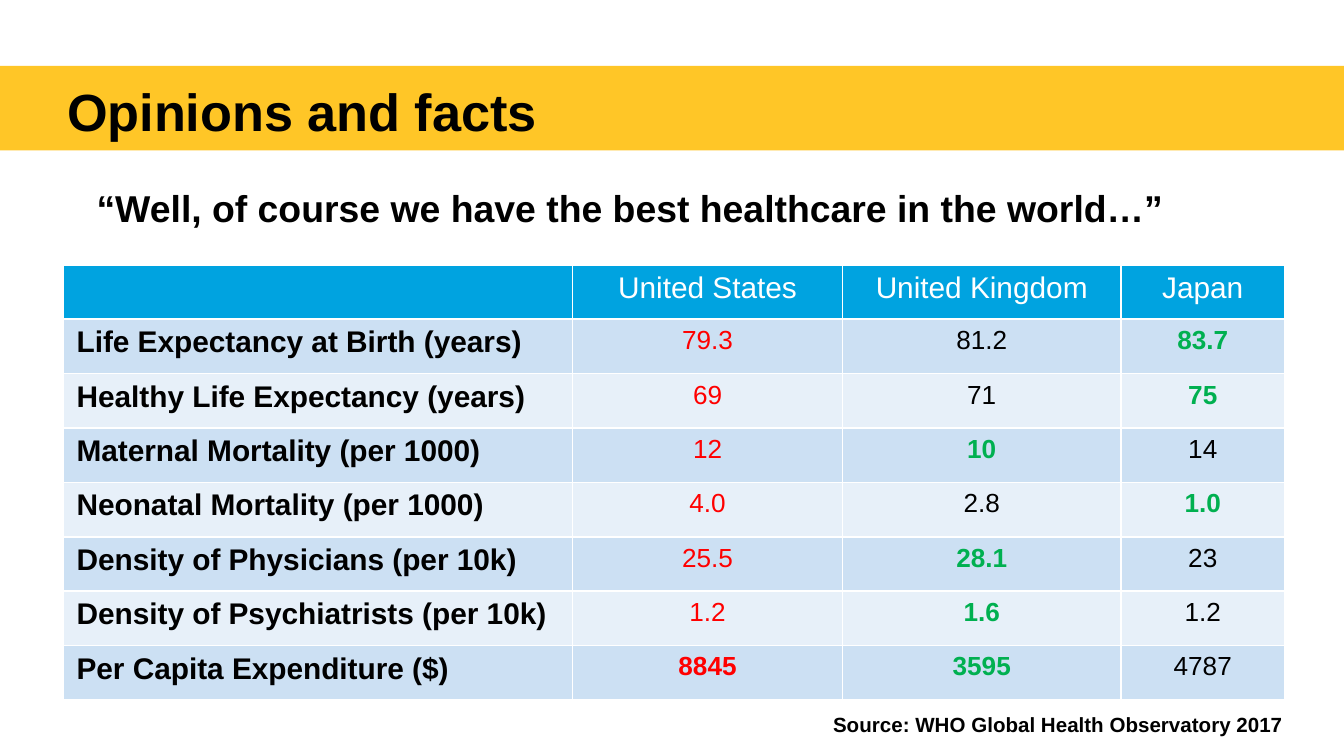
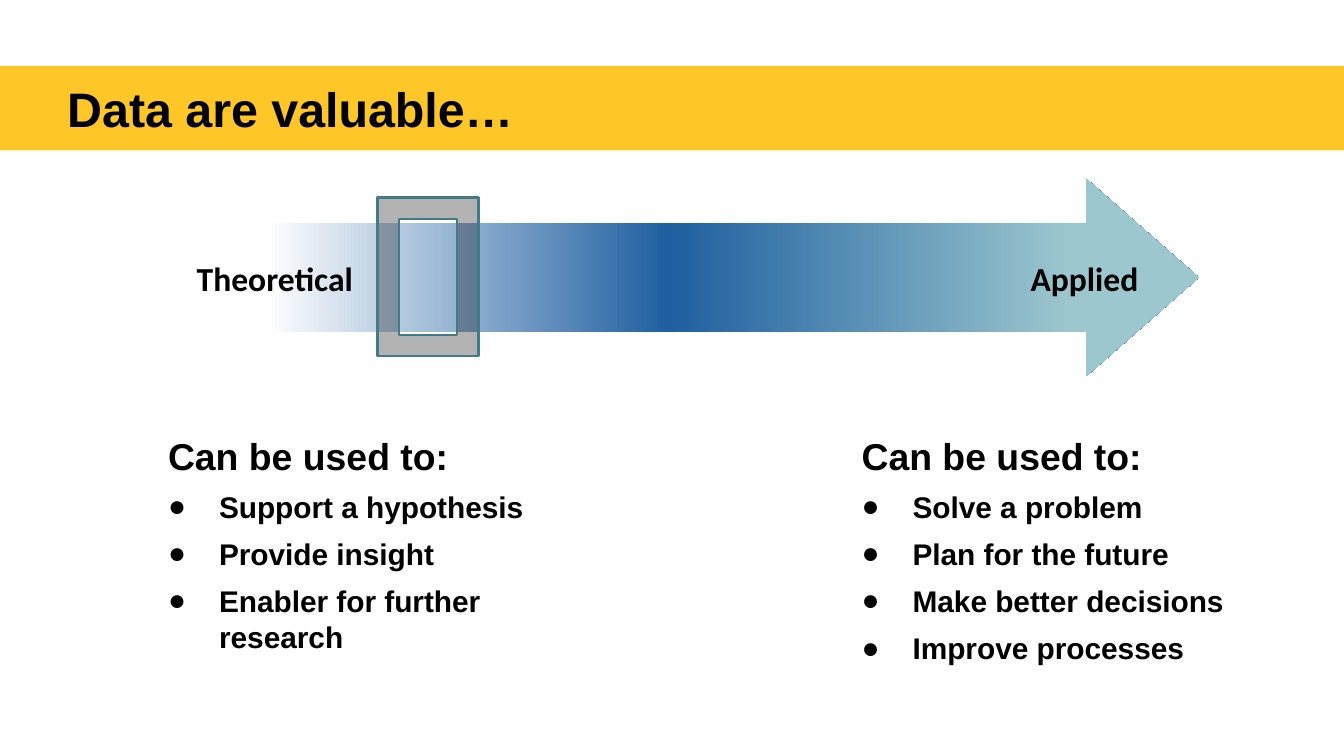
from copy import deepcopy
from lxml import etree
from pptx import Presentation
from pptx import util as u
from pptx.dml.color import RGBColor
from pptx.enum import shapes, text
from pptx.oxml.ns import qn

COLORS = {
    "gold": "FFC627", "black": "000000", "white": "FFFFFF", "header": "00A3E0",
    "odd_row": "CCE0F3", "even_row": "E7F0F9", "red": "FF0000", "green": "00B050",
    "blue": "1F5FA0", "teal": "9CC7CE", "frame": "040408", "frame_line": "417B85",
}
COLORS = {name: RGBColor.from_string(value) for name, value in COLORS.items()}


def write(frame, content, size=16, color="black", bold=True, font="Arial",
          align=text.PP_ALIGN.LEFT, before=0, left=0, hanging=0, bullet=None):
    paragraph = frame.paragraphs[0]
    if paragraph.runs:
        paragraph = frame.add_paragraph()
    properties = paragraph._p.get_or_add_pPr()
    properties.set("marL", str(u.Inches(left)))
    properties.set("indent", str(u.Inches(-hanging)))
    if bullet:
        bullet_color = etree.SubElement(properties, qn("a:buClr"))
        etree.SubElement(bullet_color, qn("a:srgbClr")).set("val", str(COLORS[color]))
        etree.SubElement(properties, qn("a:buChar")).set("char", bullet)
    else:
        etree.SubElement(properties, qn("a:buNone"))
    paragraph.alignment = align
    paragraph.space_before = u.Pt(before)
    run = paragraph.add_run()
    run.text = content
    run.font.size = u.Pt(size)
    run.font.name = font
    run.font.bold = bold
    run.font.color.rgb = COLORS[color]


def add_titled_slide(layout_index, title, size):
    slide = presentation.slides.add_slide(presentation.slide_layouts[layout_index])
    band = slide.shapes.title
    band.left, band.top, band.width, band.height = map(u.Inches, (0, 0.49, 10, 0.63))
    band.fill.solid()
    band.fill.fore_color.rgb = COLORS["gold"]
    frame = band.text_frame
    frame.auto_size = text.MSO_AUTO_SIZE.NONE
    frame.vertical_anchor = text.MSO_ANCHOR.TOP
    frame.margin_left = u.Inches(0.5)
    frame.margin_top = frame.margin_right = frame.margin_bottom = u.Inches(0.1)
    write(frame, title, size=size)
    return slide


presentation = Presentation()
presentation.slide_width = u.Inches(10)
presentation.slide_height = u.Inches(10 * 9 / 16)

slide = add_titled_slide(5, "Opinions and facts", 28)

quote = slide.shapes.add_textbox(*map(u.Inches, (0.62, 1.33, 8.95, 0.4))).text_frame
quote.word_wrap = True
write(quote, "“Well, of course we have the best healthcare in the world…”", size=20)

BEST_COLUMN = {1: 3, 2: 3, 3: 2, 4: 3, 5: 2, 6: 2, 7: 2}
HEALTH_ROWS = [
    ("", "United States", "United Kingdom", "Japan"),
    ("Life Expectancy at Birth (years)", "79.3", "81.2", "83.7"),
    ("Healthy Life Expectancy (years)", "69", "71", "75"),
    ("Maternal Mortality (per 1000)", "12", "10", "14"),
    ("Neonatal Mortality (per 1000)", "4.0", "2.8", "1.0"),
    ("Density of Physicians (per 10k)", "25.5", "28.1", "23"),
    ("Density of Psychiatrists (per 10k)", "1.2", "1.6", "1.2"),
    ("Per Capita Expenditure ($)", "8845", "3595", "4787"),
]
COLUMN_WIDTHS = (3.79, 2.01, 2.07, 1.22)

table = slide.shapes.add_table(
    len(HEALTH_ROWS), len(COLUMN_WIDTHS),
    *map(u.Inches, (0.47, 1.97, sum(COLUMN_WIDTHS), 3.24))).table
table.first_row = False
table.horz_banding = False
for column, width in zip(table.columns, COLUMN_WIDTHS):
    column.width = u.Inches(width)

for row_index, values in enumerate(HEALTH_ROWS):
    row_fill = "header" if row_index == 0 else ("even_row", "odd_row")[row_index % 2]
    for column_index, value in enumerate(values):
        cell = table.cell(row_index, column_index)
        properties = cell._tc.get_or_add_tcPr()
        for side in "LRTB":
            border = etree.SubElement(properties, qn(f"a:ln{side}"))
            border.set("w", str(u.Pt(1)))
            border_fill = etree.SubElement(border, qn("a:solidFill"))
            etree.SubElement(border_fill, qn("a:srgbClr")).set("val", str(COLORS["white"]))
        cell.fill.solid()
        cell.fill.fore_color.rgb = COLORS[row_fill]
        if not value:
            continue
        if row_index == 0:
            style = dict(color="white", bold=False)
        elif column_index == 0:
            style = dict()
        elif column_index == 1:
            style = dict(size=14, color="red", bold=row_index == len(HEALTH_ROWS) - 1)
        else:
            best = BEST_COLUMN[row_index] == column_index
            style = dict(size=14, color="green" if best else "black", bold=best)
        if column_index:
            style["align"] = text.PP_ALIGN.CENTER
        write(cell.text_frame, value, **style)

source = slide.shapes.add_textbox(*map(u.Inches, (6.1, 5.25, 3.78, 0.29))).text_frame
source.word_wrap = True
write(source, "Source: WHO Global Health Observatory 2017", size=11)

slide = add_titled_slide(3, "Data are valuable…", 25.9)

USES = [
    (1, (1.03, 3.12, 3.59, 1.87),
     ("Support a hypothesis", "Provide insight", "Enabler for further research")),
    (2, (6.19, 3.12, 3.39, 2.22),
     ("Solve a problem", "Plan for the future", "Make better decisions", "Improve processes")),
]
for placeholder_index, box, items in USES:
    body = slide.placeholders[placeholder_index]
    body.left, body.top, body.width, body.height = map(u.Inches, box)
    frame = body.text_frame
    frame.auto_size = text.MSO_AUTO_SIZE.NONE
    frame.vertical_anchor = text.MSO_ANCHOR.TOP
    frame.margin_left = frame.margin_right = u.Inches(0.1)
    frame.margin_top = frame.margin_bottom = u.Inches(0.1)
    write(frame, "Can be used to:", size=20, left=0.12)
    for item in items:
        write(frame, item, before=6, left=0.5, hanging=0.38, bullet="●")

for placeholder in list(slide.placeholders):
    if not placeholder.text_frame.text:
        placeholder._element.getparent().remove(placeholder._element)

arrow = slide.shapes.add_shape(
    shapes.MSO_SHAPE.LEFT_RIGHT_ARROW, *map(u.Inches, (1.02, 1.33, 7.9, 1.47)))
arrow.shadow.inherit = False
arrow.adjustments[0], arrow.adjustments[1] = 0.55, 0.57
arrow.line.fill.background()
arrow.fill.gradient()
arrow.fill.gradient_angle = 0
stop_list = arrow._element.spPr.find(qn("a:gradFill")).find(qn("a:gsLst"))
stop_list.append(deepcopy(stop_list[-1]))
gradient = ((0.12, "white"), (0.5, "blue"), (0.88, "teal"))
for stop, (position, color) in zip(arrow.fill.gradient_stops, gradient):
    stop.position = position
    stop.color.rgb = COLORS[color]

marker = slide.shapes.add_shape(
    shapes.MSO_SHAPE.FRAME, *map(u.Inches, (2.81, 1.47, 0.75, 1.18)))
marker.shadow.inherit = False
marker.adjustments[0] = 0.21
marker.fill.solid()
marker.fill.fore_color.rgb = COLORS["frame"]
marker_color = marker._element.spPr.find(qn("a:solidFill")).find(qn("a:srgbClr"))
etree.SubElement(marker_color, qn("a:alpha")).set("val", "30000")
marker.line.color.rgb = COLORS["frame_line"]
marker.line.width = u.Pt(1.25)

for label, left, width in (("Theoretical", 1.27, 1.55), ("Applied", 7.43, 1.28)):
    frame = slide.shapes.add_textbox(*map(u.Inches, (left, 1.87, width, 0.4))).text_frame
    frame.word_wrap = True
    write(frame, label, size=18, font="Calibri", align=text.PP_ALIGN.CENTER)

presentation.save("out.pptx")
